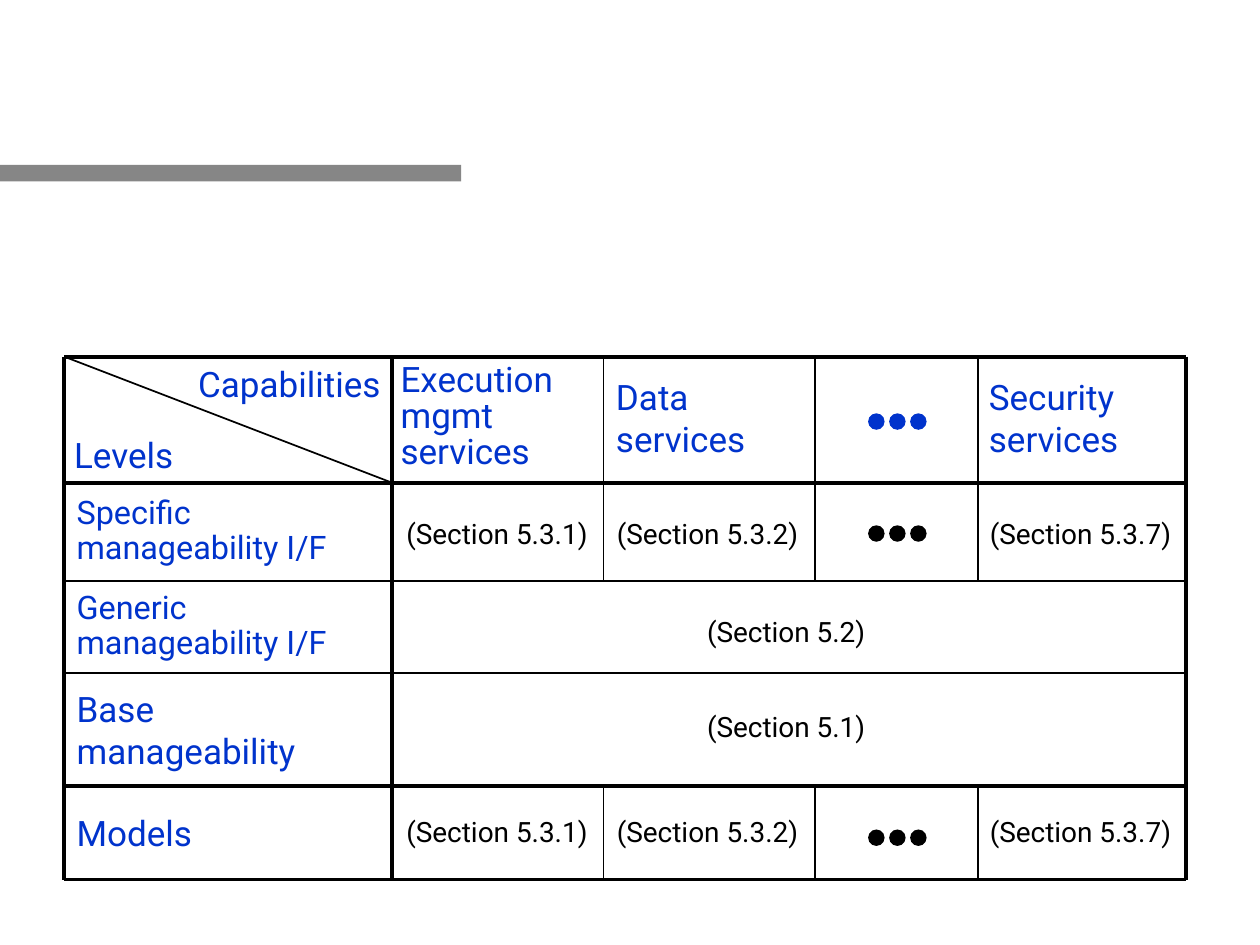
from lxml import etree
from pptx import Presentation
from pptx.dml.color import RGBColor
from pptx.enum import shapes, text
from pptx.oxml.ns import qn
from pptx.util import Pt

BLUE, BLACK, GREY = "0033CC", "000000", "868686"

deck = Presentation()
deck.slide_width, deck.slide_height = Pt(720), Pt(540)
page = deck.slides.add_slide(deck.slide_layouts[6])


def color(value):
    return RGBColor.from_string(value)


def write(words, left, top, width, height, size=20, fill=BLUE, align="LEFT",
          anchor="MIDDLE", spacing=1.0, wrap=True):
    box = page.shapes.add_textbox(Pt(left), Pt(top), Pt(width), Pt(height))
    frame = box.text_frame
    frame.word_wrap = wrap
    frame.auto_size = text.MSO_AUTO_SIZE.NONE if wrap else text.MSO_AUTO_SIZE.SHAPE_TO_FIT_TEXT
    frame.vertical_anchor = text.MSO_ANCHOR[anchor]
    para = frame.paragraphs[0]
    para.text = words
    para.alignment = text.PP_ALIGN[align]
    para.line_spacing = spacing
    for span in para.runs:
        span.font.name = "Roboto"
        span.font.size = Pt(size)
        span.font.color.rgb = color(fill)


columns = [36.7, 223.9, 344.9, 465.8, 558.7, 677.5]
rows = [203.8, 275.8, 331.9, 384.5, 449.3, 502.6]
left, right = columns[0], columns[-1]
top, bottom = rows[0], rows[-1]
THICK, THIN = 2.25, 1

bars = [(shapes.MSO_SHAPE.RECTANGLE, 0, 94.3, 263.5, 9.4, GREY)]
for dot_top, fill in [(236.2, BLUE), (300.2, BLACK), (474, BLACK)]:
    for step in range(3):
        bars.append((shapes.MSO_SHAPE.OVAL, 496.1 + 12 * step, dot_top, 9.4, 9.4, fill))
for kind, x, y, width, height, fill in bars:
    shape = page.shapes.add_shape(kind, Pt(x), Pt(y), Pt(width), Pt(height))
    shape.shadow.inherit = False
    shape.fill.solid()
    shape.fill.fore_color.rgb = color(fill)
    shape.line.fill.background()

rules = [(left, y, right, y, THIN if y in rows[2:4] else THICK) for y in rows]
rules += [(x, top, x, bottom, THICK) for x in (left, columns[1], right)]
for x in columns[2:5]:
    rules += [(x, top, x, rows[2], THIN), (x, rows[4], x, bottom, THIN)]
rules.append((left, top, columns[1], rows[1], THIN))
for x1, y1, x2, y2, weight in rules:
    rule = page.shapes.add_connector(
        shapes.MSO_CONNECTOR.STRAIGHT, Pt(x1), Pt(y1), Pt(x2), Pt(y2))
    rule.line.color.rgb = color(BLACK)
    rule.line.width = Pt(weight)
    etree.SubElement(rule._element.spPr, qn("a:effectLst"))

write("Levels", 35.3, 244.1, 72, 31.7, wrap=False)
write("Capabilities", 101.5, 208.1, 123.1, 26.6, align="RIGHT", spacing=0.8, wrap=False)

headings = [
    ("Execution\nmgmt\nservices", 221.8, 0.85),
    ("Data services", columns[2], 1.0),
    ("Security services", 558, 1.0),
]
for words, x, spacing in headings:
    write(words, x, 201.6, 121, 74.2, spacing=spacing)

levels = [
    ("Specific manageability I/F", 18.5, 0.9),
    ("Generic manageability I/F", 18.5, 0.9),
    ("Base manageability", 20, 1.0),
    ("Models", 20, 1.0),
]
for (words, size, spacing), y, below in zip(levels, rows[1:], rows[2:]):
    write(words, left, y, columns[1] - left, below - y, size=size, spacing=spacing)

sections = [("(Section 5.2)", 396.7, 347.8, 105.1), ("(Section 5.1)", 396.7, 401.8, 105.1)]
for y in (291.6, 462.2):
    for number, x in [(1, 224.6), (2, columns[2]), (7, 558)]:
        sections.append((f"(Section 5.3.{number})", x, y, 118.8))
for words, x, y, width in sections:
    write(words, x, y, width, 26.6, size=16, fill=BLACK, align="CENTER",
          anchor="TOP", wrap=False)

deck.save("out.pptx")
